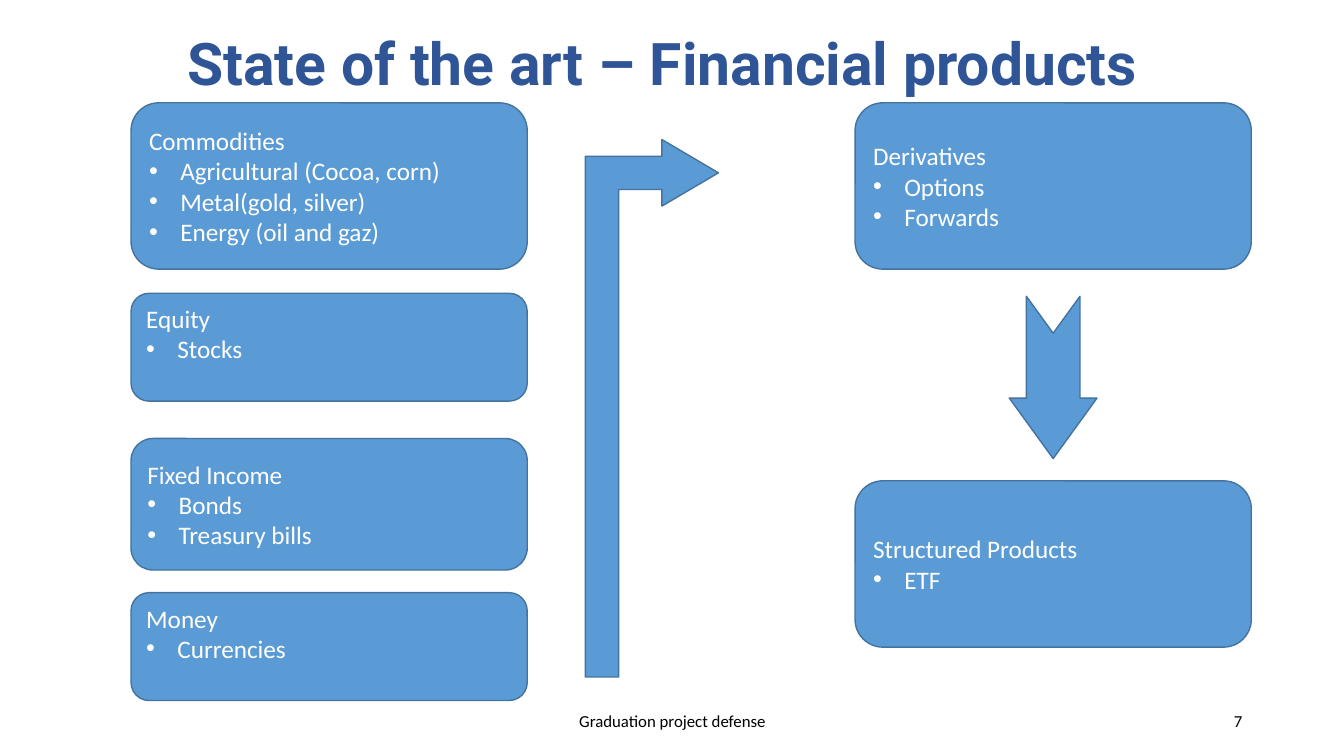
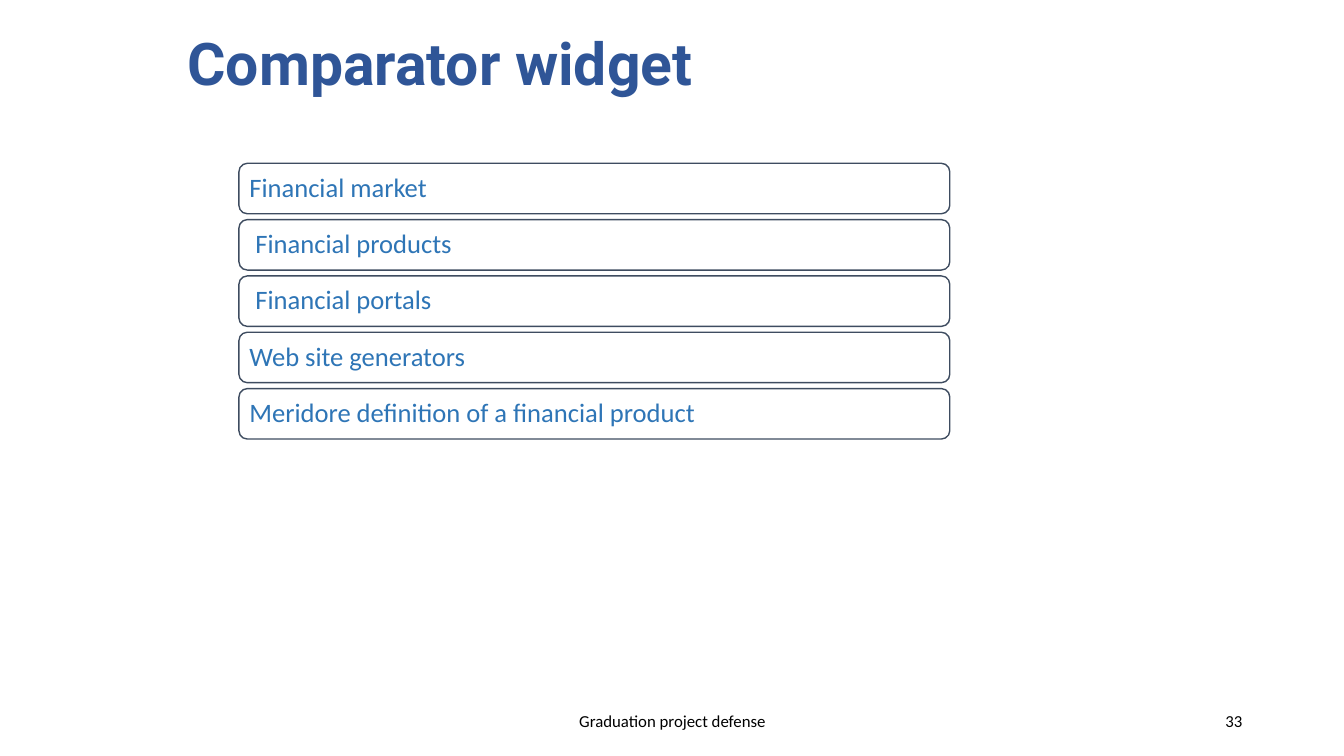
import dataclasses

import pptx
import pptx.dml.color
import pptx.enum.shapes
import pptx.enum.text
import pptx.util
from lxml import etree
from pptx.oxml import ns

SHAPE = pptx.enum.shapes.MSO_SHAPE
ALIGN = pptx.enum.text.PP_ALIGN
ANCHOR = pptx.enum.text.MSO_ANCHOR
WIDE, HIGH = pptx.util.Inches(13.33), pptx.util.Inches(7.5)


@dataclasses.dataclass(frozen=True)
class Theme:
    head: str = "2F5597"
    fill: str = "5B9BD5"
    edge: str = "43739E"
    rim: str = "3E4C60"
    link: str = "2E75B6"
    white: str = "FFFFFF"
    black: str = "000000"
    bold: str = "Roboto"
    body: str = "Calibri"
    title: int = 42
    item: int = 19
    text: int = 18
    foot: int = 12


THEME = Theme()

# Columns and rows, in percent of the slide
LEFT, RIGHT, CARD = 9.75, 63.62, 29.48
TOP, TALL, SHORT = 13.6, 22, 14.27
FOOT, BAND = 92.67, 5.33

CARDS = [
    (LEFT, TOP, TALL, ANCHOR.MIDDLE, "Commodities",
     ["Agricultural (Cocoa, corn)", "Metal(gold, silver)", "Energy (oil and gaz)"]),
    (LEFT, 38.8, SHORT, ANCHOR.TOP, "Equity", ["Stocks"]),
    (LEFT, 58, 17.4, ANCHOR.MIDDLE, "Fixed Income", ["Bonds", "Treasury bills"]),
    (LEFT, 78.4, SHORT, ANCHOR.TOP, "Money", ["Currencies"]),
    (RIGHT, TOP, TALL, ANCHOR.MIDDLE, "Derivatives", ["Options", "Forwards"]),
    (RIGHT, 63.6, TALL, ANCHOR.MIDDLE, "Structured Products", ["ETF"]),
]

# Each topic with its indent in inches
TOPICS = [
    ("Financial market", 0),
    ("Financial products", 0.06),
    ("Financial portals", 0.06),
    ("Web site generators", 0),
    ("Meridore definition of a financial product", 0),
]


def area(left, top, width, height):
    """Turn percent of the slide into lengths."""
    return [pptx.util.Emu(round(share * full / 100)) for share, full in
            ((left, WIDE), (top, HIGH), (width, WIDE), (height, HIGH))]


def tint(code):
    return pptx.dml.color.RGBColor.from_string(code)


def style(para, size, color, face=THEME.body, bold=False, align=ALIGN.LEFT):
    para.alignment = align
    font = para.font
    font.name, font.size, font.bold = face, pptx.util.Pt(size), bold
    font.color.rgb = tint(color)


def indent(para, left, hang=0):
    props = para._p.get_or_add_pPr()
    props.set("marL", str(pptx.util.Inches(left)))
    props.set("indent", str(pptx.util.Inches(-hang)))
    return props


def bullet(para):
    props = indent(para, 0.31, 0.31)
    etree.SubElement(props, ns.qn("a:buFont")).set("typeface", "Arial")
    etree.SubElement(props, ns.qn("a:buChar")).set("char", "•")


def shape(slide, kind, box, fill=THEME.fill, edge=THEME.edge):
    form = slide.shapes.add_shape(kind, *area(*box))
    form.shadow.inherit = False
    form.fill.solid()
    form.fill.fore_color.rgb = tint(fill)
    form.line.color.rgb = tint(edge)
    form.line.width = pptx.util.Pt(1)
    return form


def card(slide, left, top, height, anchor, head, items):
    frame = shape(slide, SHAPE.ROUNDED_RECTANGLE, (left, top, CARD, height)).text_frame
    frame.word_wrap = True
    frame.vertical_anchor = anchor
    para = frame.paragraphs[0]
    para.text = head
    style(para, THEME.text, THEME.white)
    for item in items:
        para = frame.add_paragraph()
        para.text = item
        bullet(para)
        style(para, THEME.text, THEME.white)


def arrow(slide, kind, box, ratios, flip=False):
    form = shape(slide, kind, box)
    form.rotation = 90
    for index, ratio in enumerate(ratios):
        form.adjustments[index] = ratio
    if flip:
        form.element.spPr.find(ns.qn("a:xfrm")).set("flipH", "1")


def bar(slide, top, text, left):
    frame = shape(slide, SHAPE.ROUNDED_RECTANGLE, (17.78, top, 53.3 - 0.41, 6.67),
                  THEME.white, THEME.rim).text_frame
    frame.word_wrap = True
    frame.vertical_anchor = ANCHOR.MIDDLE
    frame.margin_left = frame.margin_right = pptx.util.Inches(0.08)
    para = frame.paragraphs[0]
    para.text = text
    indent(para, left)
    para.line_spacing = 0.9
    style(para, THEME.item, THEME.link)


def note(slide, left, width, text, align):
    frame = slide.shapes.add_textbox(*area(left, FOOT, width, BAND)).text_frame
    frame.word_wrap = True
    frame.vertical_anchor = ANCHOR.MIDDLE
    para = frame.paragraphs[0]
    para.text = text
    style(para, THEME.foot, THEME.black, align=align)


def page(deck, title, number):
    """Add a slide with the shared title and footer."""
    slide = deck.slides.add_slide(deck.slide_layouts[5])
    head = slide.shapes.title
    head.left, head.top, head.width, head.height = area(13.2, 2.8, 86, 10.8)
    frame = head.text_frame
    frame.word_wrap = True
    frame.auto_size = pptx.enum.text.MSO_AUTO_SIZE.NONE
    frame.vertical_anchor = ANCHOR.TOP
    para = frame.paragraphs[0]
    para.text = title
    style(para, THEME.title, THEME.head, THEME.bold, True)
    note(slide, 33.16, 33.76, "Graduation project defense", ALIGN.CENTER)
    note(slide, 70.67, 22.5, number, ALIGN.RIGHT)
    return slide


def main():
    deck = pptx.Presentation()
    deck.slide_width, deck.slide_height = WIDE, HIGH

    # Financial products
    slide = page(deck, "State of the art – Financial products", "7")
    for entry in CARDS:
        card(slide, *entry)
    arrow(slide, SHAPE.BENT_UP_ARROW, (28.51, 45.2, 40, 17.6), (0.25, 0.25, 0.425), True)
    arrow(slide, SHAPE.NOTCHED_RIGHT_ARROW, (72.32, 44.13, 12.08, 11.6), (0.61, 0.69))

    # Comparator topics
    slide = page(deck, "Comparator widget", "33")
    for row, (text, left) in enumerate(TOPICS):
        bar(slide, 21.6 + 7.45 * row, text, left)

    deck.save("out.pptx")


if __name__ == "__main__":
    main()
